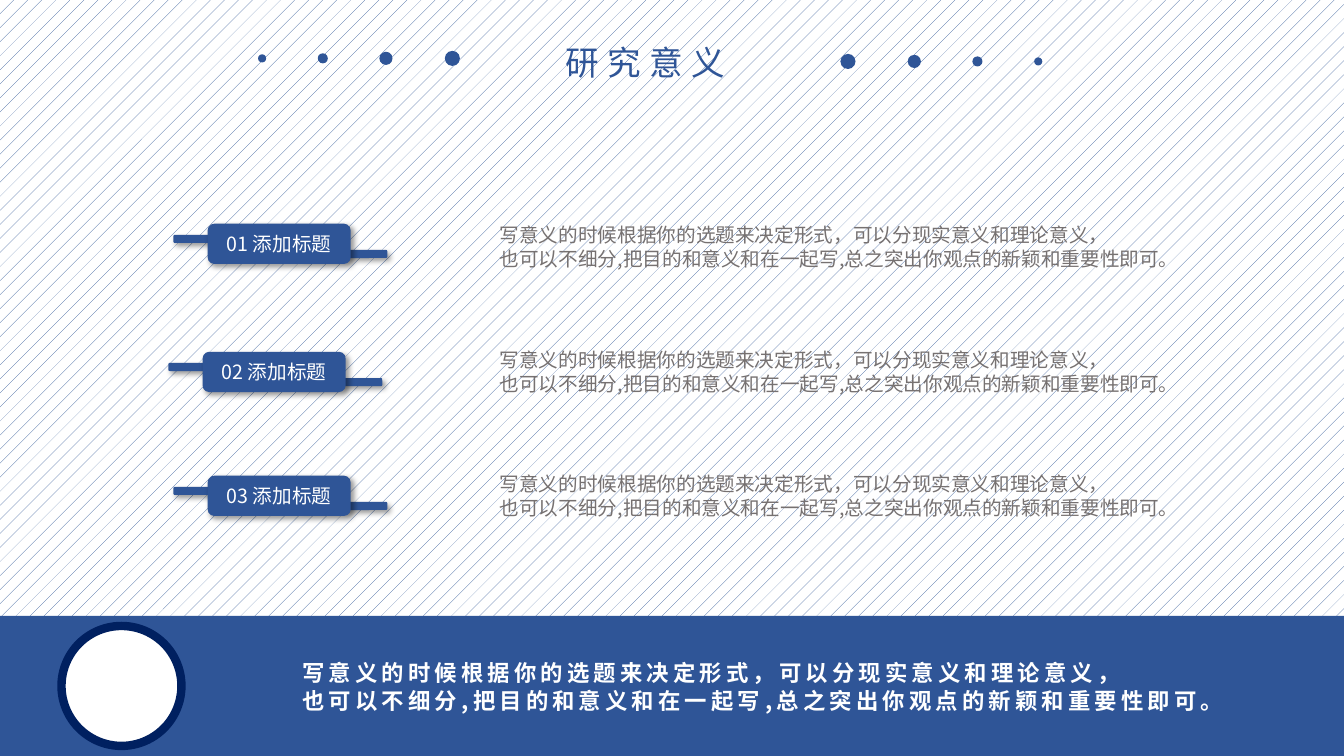
from lxml import etree
from pptx import Presentation
from pptx.dml.color import RGBColor
from pptx.enum import dml, shapes, text
from pptx.oxml import ns
from pptx.util import Pt

BLUE, NAVY, GREY, WHITE = "2F5597", "002060", "767171", "FFFFFF"
SANS = "Noto Sans CJK SC"
KIND = shapes.MSO_SHAPE
NOTE = ("写意义的时候根据你的选题来决定形式，可以分现实意义和理论意义，\n"
        "也可以不细分,把目的和意义和在一起写,总之突出你观点的新颖和重要性即可。")


def paint(hue):
    return RGBColor.from_string(hue)


def place(shape, box):
    shape.left, shape.top, shape.width, shape.height = map(Pt, box)


def write(shape, words, size=14, hue=WHITE, font=SANS, bold=False, gap=0,
          align=text.PP_ALIGN.LEFT, anchor=text.MSO_ANCHOR.TOP, grow=True):
    frame = shape.text_frame
    frame.word_wrap = False
    frame.vertical_anchor = anchor
    frame.auto_size = (text.MSO_AUTO_SIZE.SHAPE_TO_FIT_TEXT if grow
                       else text.MSO_AUTO_SIZE.NONE)
    para = frame.paragraphs[0]
    para.text = words
    para.alignment = align
    para.line_spacing = Pt(round(size * 1.22, 1))
    for run in para.runs:
        face = run.font
        face.size, face.bold, face.name = Pt(size), bold, font
        face.color.rgb = paint(hue)
        props = run._r.get_or_add_rPr()
        if gap:
            props.set("spc", str(gap * 100))
        etree.SubElement(props, ns.qn("a:ea"), typeface=font)


def label(slide, box, words, **look):
    note = slide.shapes.add_textbox(*map(Pt, box))
    write(note, words, **look)


def draw(slide, kind, box, hue=BLUE):
    shape = slide.shapes.add_shape(kind, *map(Pt, box))
    shape.shadow.inherit = False
    shape.fill.solid()
    shape.fill.fore_color.rgb = paint(hue)
    shape.line.fill.background()
    return shape


def shade(shape):
    glow = shape._element.spPr.find(ns.qn("a:effectLst"))
    cast = etree.SubElement(glow, ns.qn("a:outerShdw"), blurRad=str(Pt(4)),
                            dist=str(Pt(3)), dir="2700000", algn="tl",
                            rotWithShape="0")
    tint = etree.SubElement(cast, ns.qn("a:srgbClr"), val="000000")
    etree.SubElement(tint, ns.qn("a:alpha"), val="40000")


def dots(slide, x, y, way):
    for size, step in zip((5.8, 7.2, 9.4, 10.8), (0, 43.4, 88.5, 135.9)):
        left = x + way * step - size / 2
        draw(slide, KIND.OVAL, (left, y - size / 2, size, size))


def header(slide, box):
    x, y, wide, high = box
    title = slide.shapes.title
    place(title, box)
    write(title, "研究意义", size=24, hue=BLUE, font="Noto Sans CJK JP", gap=6)
    dots(slide, x - 209.5, y + 15.8, 1)
    dots(slide, x + wide + 209.5, y + 18, -1)


def badge(slide, box, words):
    x, y, wide, high = box
    for side, drop in ((65.8, 18.7), (-24.4, 7.9)):
        shade(draw(slide, KIND.ROUNDED_RECTANGLE,
                   (x + side, y + drop, 62.6, 5.8)))
    tag = draw(slide, KIND.ROUNDED_RECTANGLE, box)
    shade(tag)
    write(tag, words, align=text.PP_ALIGN.CENTER,
          anchor=text.MSO_ANCHOR.MIDDLE, grow=False)


def points(slide, box):
    x, y, wide, high = box
    tags = ((148.3, 159.8), (144.7, 251.3), (148.3, 339.8))
    for row, (left, top) in enumerate(tags):
        badge(slide, (left, top, 102.2, 28.8), f"{row + 1:02} 添加标题")
        label(slide, (x, y + row * 89, wide, high), NOTE, hue=GREY)


def footer(slide, box):
    x, y, wide, high = box
    draw(slide, KIND.RECTANGLE, box)
    ring = draw(slide, KIND.OVAL, (x + 43.9, y + 7.2, 85.7, 85.7), WHITE)
    ring.line.color.rgb = paint(NAVY)
    ring.line.width = Pt(6)
    label(slide, (x + 208.8, y + 27.4, 682.6, 67.7), NOTE,
          size=16, bold=True, gap=3)


def main():
    deck = Presentation()
    deck.slide_width, deck.slide_height = Pt(960), Pt(540)
    slide = deck.slides.add_slide(deck.slide_layouts[5])
    back = slide.background.fill
    back.patterned()
    back.pattern = dml.MSO_PATTERN.PERCENT_5
    back.fore_color.rgb = paint(BLUE)
    back.back_color.rgb = paint(WHITE)
    header(slide, (396.7, 25.9, 135.4, 36))
    footer(slide, (0, 439.9, 960, 100.1))
    points(slide, (349.9, 155.5, 501.8, 41))
    deck.save("out.pptx")


if __name__ == "__main__":
    main()
